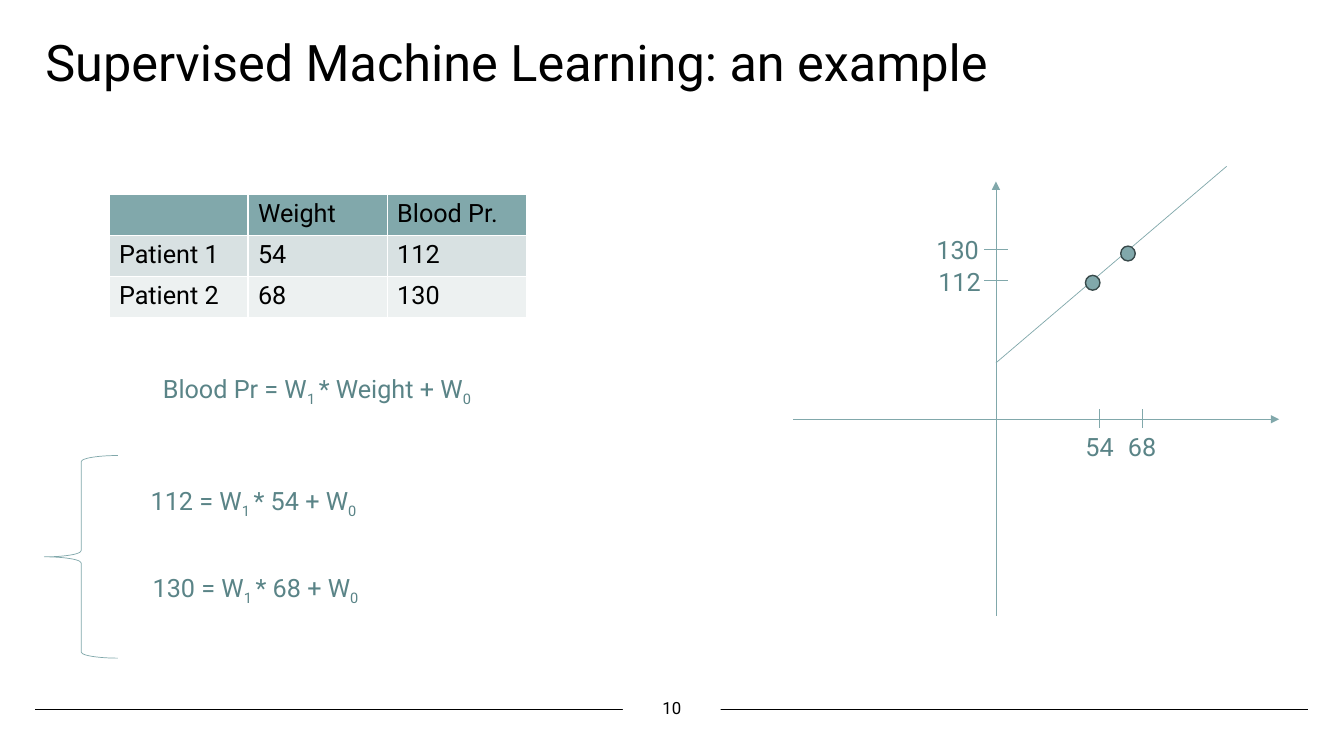
from lxml.etree import SubElement
from pptx import Presentation
from pptx.dml.color import RGBColor
from pptx.enum.shapes import MSO_CONNECTOR as Connector, MSO_SHAPE as Shape
from pptx.enum.text import MSO_ANCHOR as Anchor, MSO_AUTO_SIZE as AutoSize, PP_ALIGN as Align
from pptx.oxml.ns import qn
from pptx.util import Pt

BLACK = RGBColor(0x00, 0x00, 0x00)
WHITE = RGBColor(0xFF, 0xFF, 0xFF)
TEAL = RGBColor(0x81, 0xA8, 0xAB)
DEEP_TEAL = RGBColor(0x5A, 0x84, 0x87)
DARK_TEAL = RGBColor(0x39, 0x4A, 0x4B)
ROW_FILLS = [TEAL, RGBColor(0xD8, 0xE1, 0xE2), RGBColor(0xED, 0xF1, 0xF1)]

TITLE = "Supervised Machine Learning: an example"
PAGE_NUMBER = "10"
PATIENTS = [
    ("", "Weight", "Blood Pr."),
    ("Patient 1", "54", "112"),
    ("Patient 2", "68", "130"),
]
FORMULAS = [
    ("Blood Pr = W_1 _* Weight + W_0", 91.4, 270),
    ("112 = W_1 _* 54 + W_0", 46.1, 349.9),
    ("130 = W_1 _* 68 + W_0", 47.5, 411.8),
]
WEIGHT_TICKS = [("54", 785.5), ("68", 815.8)]
PRESSURE_TICKS = [("112", 200.2, 658.8), ("130", 177.8, 657.4)]
POINTS = [(780.5, 202), (805.7, 181.1)]
ORIGIN = (711.4, 299.5)
AXIS_STARTS = [(ORIGIN[0], 439.9), (566.6, ORIGIN[1])]
AXIS_ENDS = [(ORIGIN[0], 129.6), (913.7, ORIGIN[1])]
FIT_LINE = ((876.2, 118.8), (ORIGIN[0], 259.2))
LABEL_SIZE = (53.3, 13)
FORMULA_SIZE = (270, 18)
DOT_SIZE = (10.4, 10.6)

deck = Presentation()
deck.slide_width, deck.slide_height = Pt(960), Pt(540)
page = deck.slides.add_slide(deck.slide_layouts[5])


def apply(target, values):
    for name, value in values.items():
        setattr(target, name, value)


def write(frame, text, size=18, color=DEEP_TEAL, align=Align.CENTER, **frame_format):
    apply(frame, {"word_wrap": True, "auto_size": AutoSize.NONE, **frame_format})
    para = frame.paragraphs[0]
    para.alignment = align
    for index, part in enumerate(text.split("_")):
        span = para.add_run()
        span.text = part
        apply(span.font, {"name": "Roboto", "size": Pt(size), "bold": False})
        span.font.color.rgb = color
        if index % 2:
            span.font._element.set("baseline", "-25000")
    return para


def add_label(text, left, top, size):
    box = page.shapes.add_textbox(*map(Pt, (left, top, *size)))
    write(box.text_frame, text, vertical_anchor=Anchor.MIDDLE)


def add_line(start, end, color=TEAL, arrow=False):
    line = page.shapes.add_connector(Connector.STRAIGHT, *map(Pt, (*start, *end)))
    line.line.color.rgb = color
    line.line.width = Pt(0.5)
    if arrow:
        SubElement(line.line._get_or_add_ln(), qn("a:tailEnd"), type="triangle")
    SubElement(line._element.spPr, qn("a:effectLst"))


def add_figure(kind, area, fill=None, outline=None, width=0.5):
    figure = page.shapes.add_shape(kind, *map(Pt, area))
    figure.shadow.inherit = False
    if fill is None:
        figure.fill.background()
    else:
        figure.fill.solid()
        figure.fill.fore_color.rgb = fill
    if outline is None:
        figure.line.fill.background()
    else:
        figure.line.color.rgb = outline
        figure.line.width = Pt(width)
    return figure


add_line((25.2, 507), (934.6, 507), BLACK)
number_box = add_figure(Shape.RECTANGLE, (445, 470.2, 69.8, 56.9), WHITE)
number = write(
    number_box.text_frame, PAGE_NUMBER, 12, BLACK, vertical_anchor=Anchor.BOTTOM,
    margin_left=0, margin_right=0, margin_top=Pt(14.4), margin_bottom=Pt(14.4),
)
number.line_spacing = 1.2
number.runs[0].font._element.set("spc", "20")

title = page.shapes.title
apply(title, {"left": Pt(25.2), "top": Pt(18.7), "width": Pt(888.5), "height": Pt(51.1)})
write(title.text_frame, TITLE, 36, BLACK, Align.LEFT, vertical_anchor=Anchor.TOP)

grid = page.shapes.add_table(3, 3, *map(Pt, (77.8, 139, 298.1, 87.8))).table
for row, (values, fill) in enumerate(zip(PATIENTS, ROW_FILLS)):
    for column, value in enumerate(values):
        cell = grid.cell(row, column)
        cell.fill.solid()
        cell.fill.fore_color.rgb = fill
        if value:
            para = cell.text_frame.paragraphs[0]
            span = para.add_run()
            span.text = value
            apply(span.font, {"name": "Roboto", "size": Pt(18), "bold": False})
            span.font.color.rgb = BLACK

for start, end in zip(AXIS_STARTS, AXIS_ENDS):
    add_line(start, end, arrow=True)
for text, x in WEIGHT_TICKS:
    add_line((x, 292.5), (x, 306))
    add_label(text, x - LABEL_SIZE[0] / 2, 312.5, LABEL_SIZE)
for text, y, left in PRESSURE_TICKS:
    add_line((720, y), (703, y))
    add_label(text, left, y - 6, LABEL_SIZE)

for text, left, top in FORMULAS:
    add_label(text, left, top, FORMULA_SIZE)
add_figure(Shape.LEFT_BRACE, (31.7, 325.4, 52.6, 144.7), outline=TEAL)

add_line(*FIT_LINE)
for x, y in POINTS:
    width, height = DOT_SIZE
    add_figure(Shape.OVAL, (x - width / 2, y - height / 2, width, height), TEAL, DARK_TEAL, 1)

deck.save("out.pptx")
